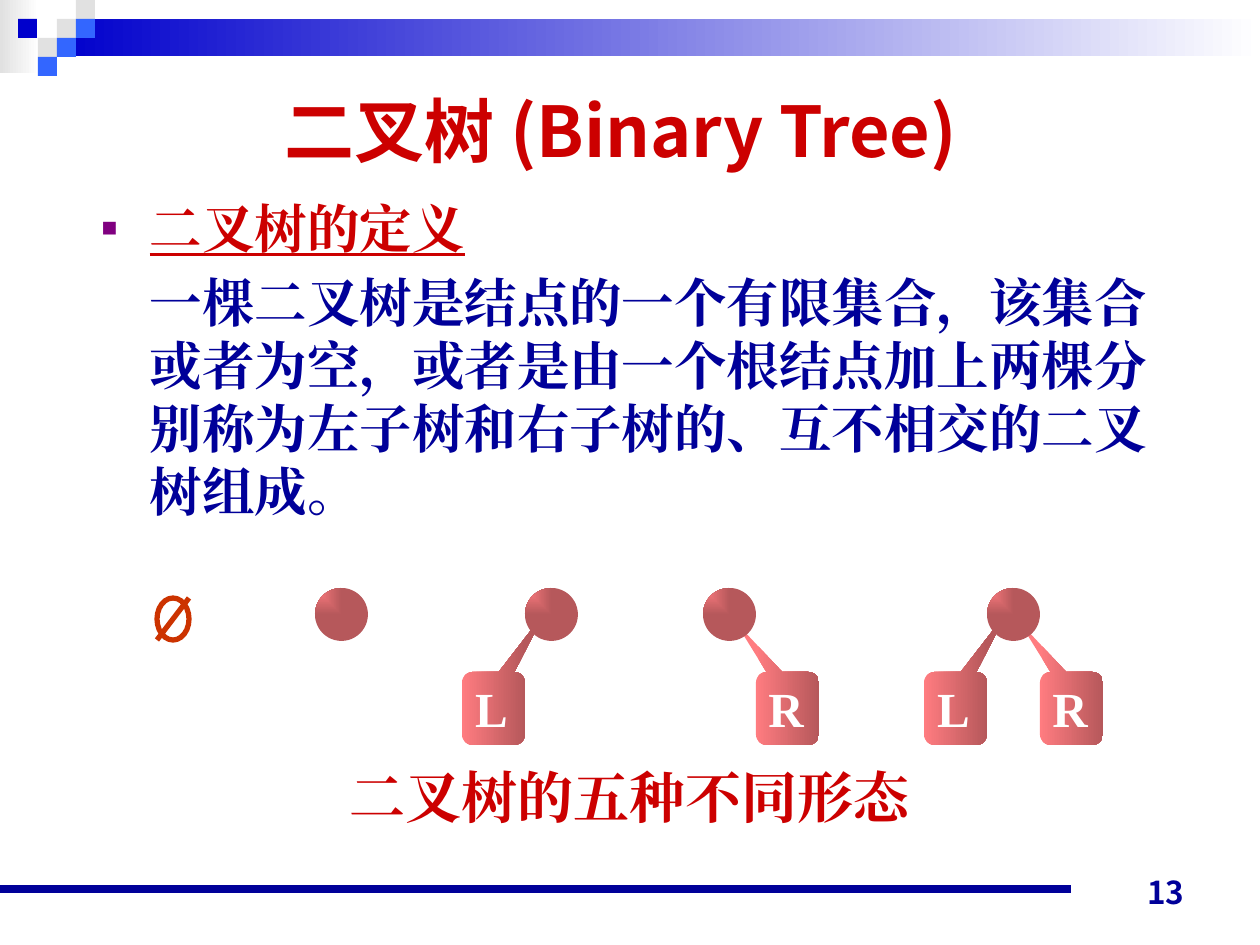
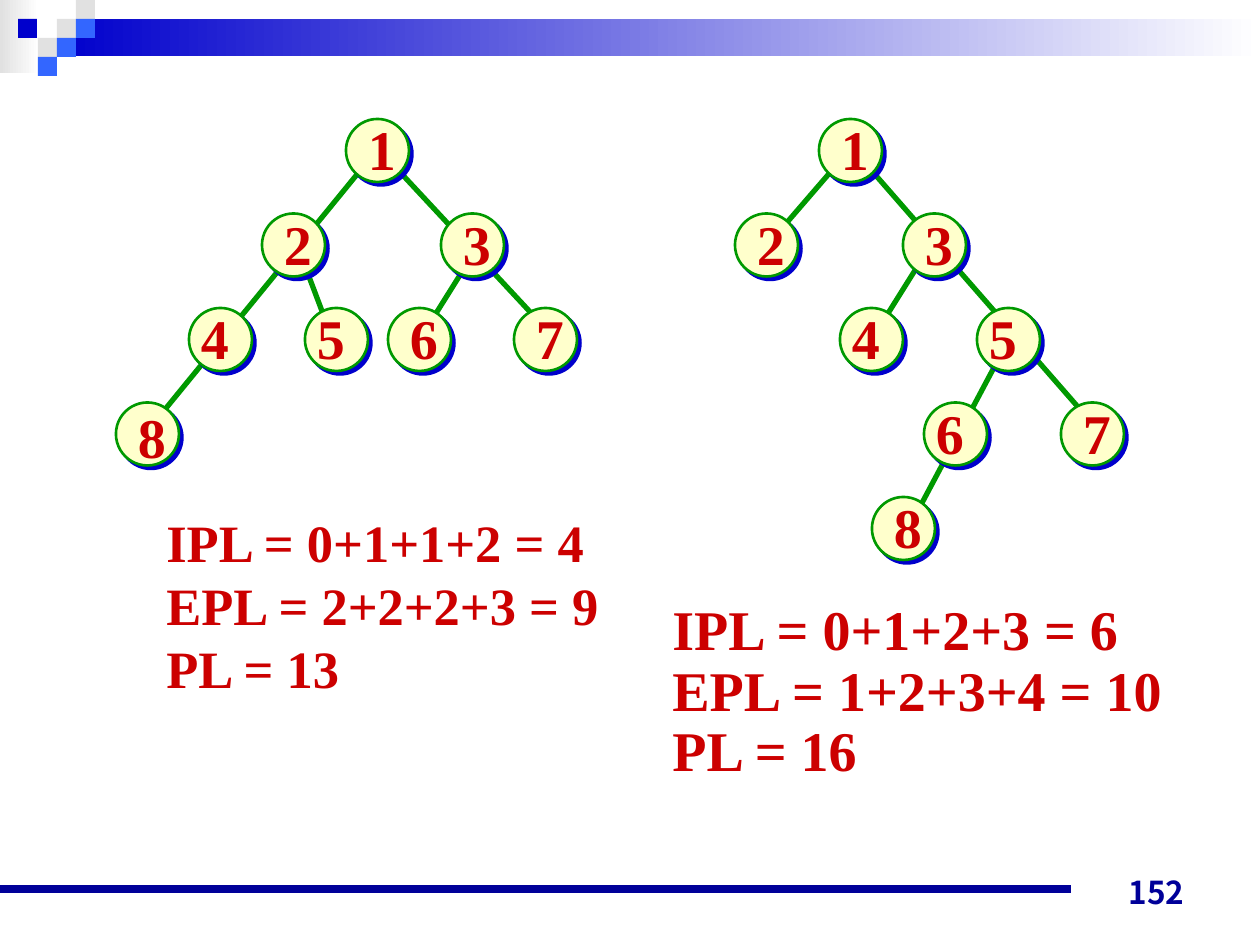
"""Build two slides on binary trees: definition with five forms, and path lengths."""
from lxml import etree
from pptx import Presentation
from pptx.dml.color import RGBColor
from pptx.enum.dml import MSO_FILL
from pptx.enum.shapes import MSO_CONNECTOR, MSO_SHAPE
from pptx.enum.text import MSO_ANCHOR, MSO_AUTO_SIZE, PP_ALIGN
from pptx.oxml.ns import qn
from pptx.util import Emu, Pt

RECT, OVAL = MSO_SHAPE.RECTANGLE, MSO_SHAPE.OVAL
CALL = MSO_SHAPE.ROUNDED_RECTANGULAR_CALLOUT
LINE = MSO_CONNECTOR.STRAIGHT
LEFT, MID, RIGHT = PP_ALIGN.LEFT, PP_ALIGN.CENTER, PP_ALIGN.RIGHT
TOP, CORE, BASE = MSO_ANCHOR.TOP, MSO_ANCHOR.MIDDLE, MSO_ANCHOR.BOTTOM
GROW, FIXED = MSO_AUTO_SIZE.SHAPE_TO_FIT_TEXT, MSO_AUTO_SIZE.NONE
SOLID = MSO_FILL.SOLID

WHITE = RGBColor(0xFF, 0xFF, 0xFF)
GREY = RGBColor(0xE1, 0xE1, 0xE1)
BLUE = RGBColor(0x00, 0x00, 0xCC)
SKY = RGBColor(0x33, 0x66, 0xFF)
NAVY = RGBColor(0x00, 0x00, 0x99)
RED = RGBColor(0xCC, 0x00, 0x00)
RUST = RGBColor(0xCC, 0x33, 0x00)
ROSE = RGBColor(0xFF, 0x7C, 0x80)
PLUM = RGBColor(0x80, 0x00, 0x80)
GREEN = RGBColor(0x00, 0x99, 0x00)
CREAM = RGBColor(0xFF, 0xFF, 0xCC)

SERIF, SANS = "Times New Roman", "Noto Sans CJK JP"
PX = 914400 / 126

BANDS = [(0, 0, 39, 73, GREY), (57, 19, 1203, 37, BLUE)]
TILES = [(57, 19, GREY), (76, 0, GREY), (76, 19, SKY), (38, 38, GREY),
         (18, 19, BLUE), (57, 38, SKY), (38, 57, SKY)]
TILE = 19

TITLE = "二叉树 (Binary Tree)"
HEAD = "二叉树的定义"
BODY = ("一棵二叉树是结点的一个有限集合，该集合或者为空，或者是由一个根结点加上"
        "两棵分别称为左子树和右子树的、互不相交的二叉树组成。")
NOTE = "二叉树的五种不同形态"

BALLS = [315, 525, 703, 987]
SUBS = [("R", 1040), ("R", 756), ("L", 924), ("L", 462)]
TAILS = {"L": (0.82, -1.32), "R": (-0.83, -1.19)}

ROW, NODE = 94.5, 63
TREES = [
    {
        "lines": [(472, 256, 420, 339), (305, 266, 325, 319),
                  (399, 171, 546, 329), (368, 161, 136, 445)],
        "nodes": [("1", 346, 0, 0, 0), ("2", 262, 1, 0, 0),
                  ("3", 441, 1, 0, 0), ("4", 189, 2, -10, 0),
                  ("5", 305, 2, -10, 0), ("6", 388, 2, 0, 0),
                  ("7", 514, 2, 0, 0), ("8", 116, 3, 0, 4)],
        "sums": ["IPL = 0+1+1+2 = 4", "EPL = 2+2+2+3 = 9", "PL = 13"],
        "box": (154, 504, 461, 202), "size": 30, "gap": None,
    },
    {
        "lines": [(924, 256, 872, 339), (998, 360, 914, 518),
                  (872, 171, 1092, 423), (840, 161, 777, 234)],
        "nodes": [("1", 819, 0, 0, 0), ("2", 735, 1, 0, 0),
                  ("3", 903, 1, 0, 0), ("4", 840, 2, -10, 0),
                  ("5", 977, 2, -10, 0), ("6", 924, 3, -10, 0),
                  ("7", 1061, 3, 0, 0), ("8", 872, 4, 0, 0)],
        "sums": ["IPL = 0+1+2+3 = 6", "EPL = 1+2+3+4 = 10", "PL = 16"],
        "box": (660, 596, 518, 194), "size": 32, "gap": 0.9,
    },
]


def emu(*vals):
    return [Emu(round(v * PX)) for v in vals]


def sub(node, tag, **attrs):
    return etree.SubElement(node, qn(tag), attrs)


def add_run(para, text, size, color, face=SERIF, under=None):
    run = para.add_run()
    run.text = text
    font = run.font
    font.size, font.bold, font.name = Pt(size), True, face
    font.underline = under
    font.color.rgb = color
    sub(font._element, "a:ea", typeface=face)


def add_text(shapes, box, lines, size, color, face=SERIF, align=LEFT,
             anchor=CORE, wrap=True, fit=GROW, gap=None):
    frame = shapes.add_textbox(*emu(*box)).text_frame
    frame.word_wrap, frame.auto_size = wrap, fit
    frame.vertical_anchor = anchor
    for i, line in enumerate(lines):
        para = frame.add_paragraph() if i else frame.paragraphs[0]
        para.alignment, para.line_spacing = align, gap
        add_run(para, line, size, color, face)


def add_shape(shapes, kind, box, fill=None, line=None, width=1):
    shape = shapes.add_shape(kind, *emu(*box))
    shape.shadow.inherit = False
    if fill is None:
        shape.fill.background()
    else:
        shape.fill.solid()
        shape.fill.fore_color.rgb = fill
    if line is None:
        shape.line.fill.background()
    else:
        shape.line.color.rgb = line
        shape.line.width = Pt(width)
    return shape


def blend(shape, start, end):
    shape.fill.gradient()
    shape.fill.gradient_angle = 0
    for stop, color in zip(shape.fill.gradient_stops, (start, end)):
        stop.color.rgb = color


def blush(shape, glow=False):
    blend(shape, ROSE, ROSE)
    grad = shape.element.spPr.find(qn("a:gradFill"))
    last = list(grad.iter(qn("a:srgbClr")))[-1]
    sub(last, "a:shade", val="46275")
    if glow:
        lin = grad.find(qn("a:lin"))
        ray = etree.Element(qn("a:path"), {"path": "rect"})
        sub(ray, "a:fillToRect", r="100000", b="100000")
        grad.replace(lin, ray)


def add_line(shapes, ends, color, width):
    line = shapes.add_connector(LINE, *emu(*ends))
    line.line.color.rgb = color
    line.line.width = Pt(width)
    sub(line.element.spPr, "a:effectLst")


def add_page(deck, layout, num):
    slide = deck.slides.add_slide(deck.slide_layouts[layout])
    shapes = slide.shapes
    for *box, color in BANDS:
        blend(add_shape(shapes, RECT, box, color), color, WHITE)
    for x, y, color in TILES:
        add_shape(shapes, RECT, (x, y, TILE, TILE), color)
    add_line(shapes, (0, 889, 1071, 889), NAVY, 4.5)
    add_text(shapes, (903, 854, 294, 63), [num], 18, NAVY, SANS, RIGHT,
             BASE, fit=FIXED)
    return slide


def place(holder, box, anchor):
    holder.left, holder.top, holder.width, holder.height = emu(*box)
    frame = holder.text_frame
    frame.auto_size, frame.vertical_anchor = FIXED, anchor
    return frame


def add_words(slide):
    frame = place(slide.shapes.title, (54, 60, 1134, 139), CORE)
    frame.paragraphs[0].alignment = MID
    add_run(frame.paragraphs[0], TITLE, 40, RED, SANS)

    frame = place(slide.placeholders[1], (89, 190, 1096, 353), TOP)
    head, text = frame.paragraphs[0], frame.add_paragraph()
    inset = emu(48)[0]
    for para, hang in ((head, -inset), (text, 0)):
        props = para._p.get_or_add_pPr()
        props.set("marL", str(inset))
        props.set("indent", str(hang))
    props = head._p.pPr
    sub(sub(props, "a:buClr"), "a:srgbClr", val=str(PLUM))
    sub(props, "a:buSzPct", val="50000")
    sub(props, "a:buChar", char="■")
    sub(text._p.pPr, "a:buNone")
    head.space_before, text.space_before = Pt(0), Pt(6)
    add_run(head, HEAD, 30, RED, under=True)
    add_run(text, BODY, 30, NAVY)


def add_forms(shapes):
    for side, x in SUBS:
        call = add_shape(shapes, CALL, (x, 672, 63, 73), ROSE)
        for i, val in enumerate((*TAILS[side], 0.17)):
            call.adjustments[i] = val
        blush(call)
    add_text(shapes, (189, 756, 882, 79), [NOTE], 32, RED, align=MID,
             anchor=TOP)
    add_shape(shapes, OVAL, (157, 598, 32, 42), None, RUST, 3)
    add_line(shapes, (189, 598, 157, 640), RUST, 3)
    for x in BALLS:
        blush(add_shape(shapes, OVAL, (x, 588, 53, 53), ROSE), True)
    for side, x in SUBS:
        add_text(shapes, (x, 672, 59, 72), [side], 28, WHITE, align=MID,
                 wrap=False)


def cast(shape):
    fx = shape.element.spPr.find(qn("a:effectLst"))
    shade = sub(fx, "a:outerShdw", dist="35921", dir="2700000", algn="ctr")
    sub(shade, "a:srgbClr", val=str(BLUE))


def add_tree(slide, tree):
    shapes = slide.shapes.add_group_shape().shapes
    for ends in tree["lines"]:
        add_line(shapes, ends, GREEN, 3)
    for _, x, row, _, _ in tree["nodes"]:
        box = (x, 119 + row * ROW, NODE, NODE)
        cast(add_shape(shapes, OVAL, box, CREAM, GREEN, 1.5))
    for label, x, row, dx, dy in tree["nodes"]:
        box = (x + dx - 1, 109 + row * ROW + dy, 74, 79)
        add_text(shapes, box, [label], 32, RED, align=MID)
    add_text(slide.shapes, tree["box"], tree["sums"], tree["size"], RED,
             wrap=False, gap=tree["gap"])


def main():
    deck = Presentation()
    deck.slide_width, deck.slide_height = emu(1260, 945)
    slide = add_page(deck, 1, "13")
    add_forms(slide.shapes)
    add_words(slide)
    slide = add_page(deck, 6, "152")
    for tree in TREES:
        add_tree(slide, tree)
    deck.save("out.pptx")


if __name__ == "__main__":
    main()
